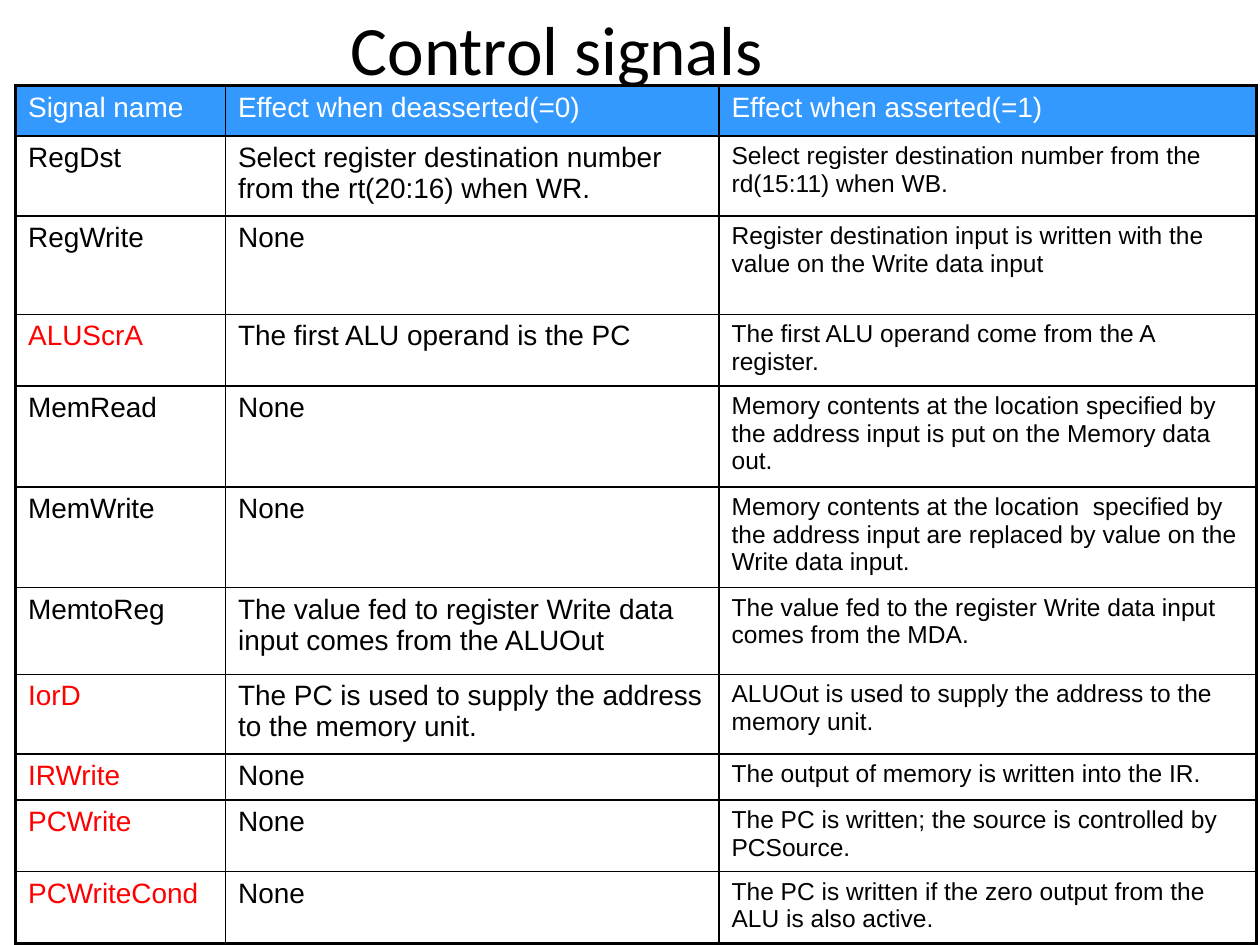
from lxml import etree
from pptx import Presentation
from pptx.dml.color import RGBColor
from pptx.enum.text import MSO_ANCHOR, MSO_AUTO_SIZE, PP_ALIGN
from pptx.oxml.ns import qn
from pptx.util import Pt

MIDDLE = MSO_ANCHOR.MIDDLE
NO_FIT = MSO_AUTO_SIZE.NONE
CENTER = PP_ALIGN.CENTER
BLACK = RGBColor(0x00, 0x00, 0x00)
WHITE = RGBColor(0xFF, 0xFF, 0xFF)
RED = RGBColor(0xFF, 0x00, 0x00)
BLUE = RGBColor(0x33, 0x99, 0xFF)
THIN, THICK = Pt(1), Pt(2.25)

COLS = [120, 282, 307]
ROWS = [
    (28.8, "Signal name", "Effect when deasserted(=0)", "Effect when asserted(=1)"),
    (45.8, "RegDst", "Select register destination number from the rt(20:16) when WR.",
     "Select register destination number from the rd(15:11) when WB."),
    (56.2, "RegWrite", "None",
     "Register destination input is written with the value on the Write data input"),
    (41, "ALUScrA", "The first ALU operand is the PC",
     "The first ALU operand come from the A register."),
    (57.6, "MemRead", "None",
     "Memory contents at the location specified by the address input is put on the Memory data out."),
    (57.6, "MemWrite", "None",
     "Memory contents at the location  specified by the address input are replaced by value on the Write data input."),
    (49.5, "MemtoReg", "The value fed to register Write data input comes from the ALUOut",
     "The value fed to the register Write data input comes from the MDA."),
    (45.4, "IorD", "The PC is used to supply the address to the memory unit.",
     "ALUOut is used to supply the address to the memory unit."),
    (26.4, "IRWrite", "None", "The output of memory is written into the IR."),
    (41, "PCWrite", "None", "The PC is written; the source is controlled by PCSource."),
    (41, "PCWriteCond", "None",
     "The PC is written if the zero output from the ALU is also active."),
]
MARKED = {"ALUScrA", "IorD", "IRWrite", "PCWrite", "PCWriteCond"}


def add_edges(cell, widths):
    props = cell._tc.get_or_add_tcPr()
    for i, (side, width) in enumerate(widths.items()):
        line = etree.Element(qn("a:ln" + side), w=str(width))
        fill = etree.SubElement(line, qn("a:solidFill"))
        etree.SubElement(fill, qn("a:srgbClr"), val=str(BLACK))
        props.insert(i, line)


deck = Presentation()
deck.slide_width, deck.slide_height = Pt(720), Pt(540)
slide = deck.slides.add_slide(deck.slide_layouts[5])

title = slide.shapes.title
title.left, title.top, title.width, title.height = Pt(18), Pt(3.6), Pt(600), Pt(48)
frame = title.text_frame
frame.text = "Control signals"
frame.auto_size = NO_FIT
frame.vertical_anchor = MIDDLE
head = frame.paragraphs[0]
head.alignment = CENTER
font = head.runs[0].font
font.name, font.size = "Calibri", Pt(39.6)
font.color.rgb = BLACK

high = sum(row[0] for row in ROWS)
table = slide.shapes.add_table(
    len(ROWS), len(COLS), Pt(8.9), Pt(48.9), Pt(sum(COLS)), Pt(high)).table
table.horz_banding = False
for col, width in zip(table.columns, COLS):
    col.width = Pt(width)

last_row, last_col = len(ROWS) - 1, len(COLS) - 1
for r, (height, *texts) in enumerate(ROWS):
    table.rows[r].height = Pt(height)
    for c, text in enumerate(texts):
        cell = table.cell(r, c)
        cell.text_frame.text = text
        font = cell.text_frame.paragraphs[0].runs[0].font
        font.name, font.bold = "Arial", False
        font.size = Pt(14 if r and c == last_col else 16)
        if r == 0:
            font.color.rgb = WHITE
            cell.fill.solid()
            cell.fill.fore_color.rgb = BLUE
        else:
            font.color.rgb = RED if text in MARKED else BLACK
            cell.fill.background()
        add_edges(cell, {
            "L": THICK if c == 0 else THIN,
            "R": THICK if c == last_col else THIN,
            "T": THICK if r == 0 else THIN,
            "B": THICK if r == last_row else THIN,
        })

deck.save("out.pptx")
